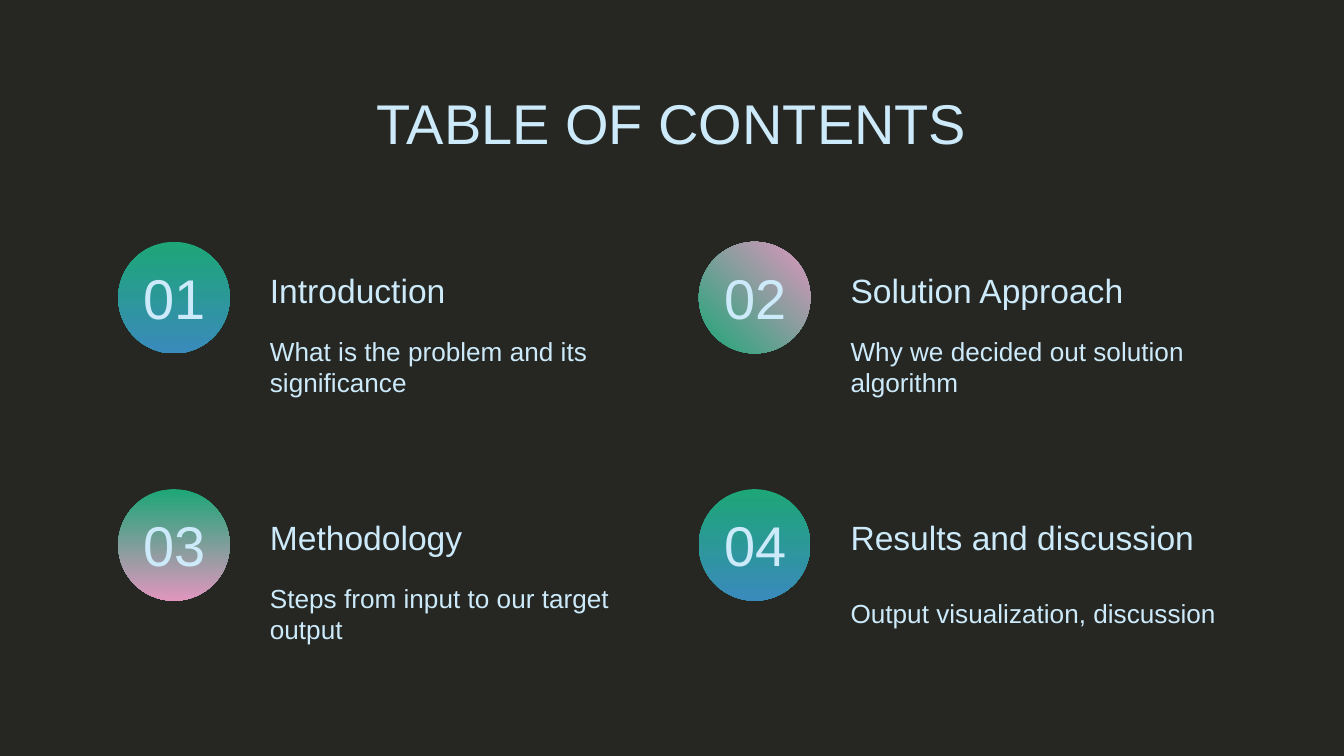
from dataclasses import dataclass

from pptx import Presentation
from pptx import util as u
from pptx.dml.color import RGBColor
from pptx.enum import shapes, text


@dataclass(frozen=True)
class Theme:
    font: str = "Arial"
    background: str = "262722"
    ink: str = "CCEAFA"
    green: str = "1DA677"
    blue: str = "3A8ABB"
    pink: str = "E096BE"
    display: int = 30
    heading: int = 18
    body: int = 14


theme = Theme()
DOWN, UP_RIGHT = 270, 45  # gradient directions, counter-clockwise


def place(left, top, width, height):
    return [u.Inches(n) for n in (left, top, width, height)]


def write(box, words, size, align):
    frame = box.text_frame
    frame.text = words
    frame.word_wrap = True
    frame.auto_size = text.MSO_AUTO_SIZE.NONE
    frame.vertical_anchor = text.MSO_ANCHOR.MIDDLE
    frame.margin_left = frame.margin_right = u.Inches(0.1)
    frame.margin_top = frame.margin_bottom = u.Inches(0.1)
    line = frame.paragraphs[0]
    line.alignment = align
    line.font.name = theme.font
    line.font.size = u.Pt(size)
    line.font.color.rgb = RGBColor.from_string(theme.ink)


# Slide (16:9) and background
deck = Presentation()
deck.slide_width = u.Inches(10)
deck.slide_height = deck.slide_width * 9 // 16
slide = deck.slides.add_slide(deck.slide_layouts[5])
slide.background.fill.solid()
slide.background.fill.fore_color.rgb = RGBColor.from_string(theme.background)

# Title
title = slide.shapes.title
title.left, title.top, title.width, title.height = place(0.78, 0.59, 8.44, 0.63)
write(title, "TABLE OF CONTENTS", theme.display, text.PP_ALIGN.CENTER)

# Contents on a grid of two columns and two rows
left_edge, top_edge = 0.78, 1.8
column_step, row_step = 4.32, 1.84
disc_size, text_width = 0.83, 2.99
chapters = [
    ("Introduction", "What is the problem and its significance",
     theme.blue, DOWN, text_width),
    ("Solution Approach", "Why we decided out solution algorithm",
     theme.pink, UP_RIGHT, text_width),
    ("Methodology", "Steps from input to our target output",
     theme.pink, DOWN, text_width),
    ("Results and discussion", "Output visualization, discussion",
     theme.blue, DOWN, text_width + 0.3),
]

for index, (heading, summary, end_colour, angle, heading_width) in enumerate(chapters):
    row, column = divmod(index, 2)
    x = left_edge + column * column_step
    y = top_edge + row * row_step

    # Gradient disc
    disc = slide.shapes.add_shape(
        shapes.MSO_SHAPE.OVAL, *place(x + 0.1, y, disc_size, disc_size))
    disc.shadow.inherit = False
    disc.line.fill.background()
    disc.fill.gradient()
    disc.fill.gradient_angle = angle
    for stop, colour in zip(disc.fill.gradient_stops, (theme.green, end_colour)):
        stop.color.rgb = RGBColor.from_string(colour)

    # Number, heading and summary
    for words, size, align, area in (
        (f"{index + 1:02}", theme.display, text.PP_ALIGN.CENTER,
         (x, y + 0.14, 1.04, 0.54)),
        (heading, theme.heading, text.PP_ALIGN.LEFT,
         (x + 1.13, y + 0.14, heading_width, 0.43)),
        (summary, theme.body, text.PP_ALIGN.LEFT,
         (x + 1.13, y + 0.57, text_width, 0.71)),
    ):
        write(slide.shapes.add_textbox(*place(*area)), words, size, align)

deck.save("out.pptx")
